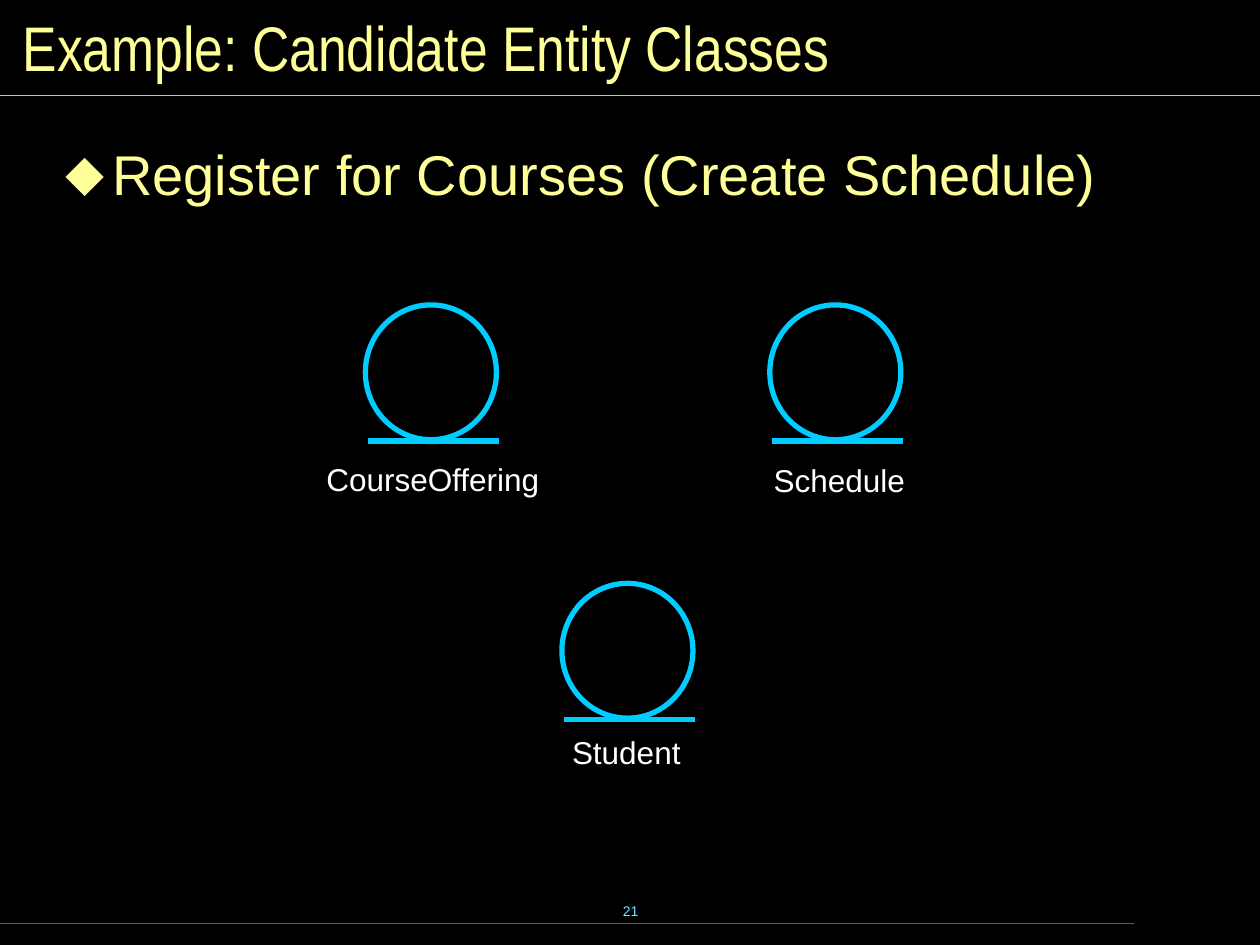
from lxml.etree import SubElement
from pptx import Presentation
from pptx.dml.color import RGBColor
from pptx.enum.shapes import MSO_CONNECTOR, MSO_SHAPE
from pptx.enum.text import MSO_ANCHOR, MSO_AUTO_SIZE, PP_ALIGN
from pptx.oxml.ns import qn
from pptx.util import Inches, Pt

YELLOW, CYAN, WHITE = "FFFF99", "00CCFF", "FFFFFF"
PALE_BLUE, DARK_BLUE = "73E1FF", "007E9F"


def write_text(shape, text, size, color, font="Arial", align=PP_ALIGN.LEFT,
               anchor=MSO_ANCHOR.TOP, margins=(0, 0), wrap=False):
    frame = shape.text_frame
    frame.auto_size = MSO_AUTO_SIZE.NONE
    frame.word_wrap = wrap
    frame.vertical_anchor = anchor
    frame.margin_left = frame.margin_right = Inches(margins[0])
    frame.margin_top = frame.margin_bottom = Inches(margins[1])
    paragraph = frame.paragraphs[0]
    paragraph.alignment = align
    paragraph.space_before = Pt(0)
    run = paragraph.add_run()
    run.text = text
    run.font.name = font
    run.font.size = Pt(size)
    run.font.color.rgb = RGBColor.from_string(color)
    return paragraph


def add_rule(shapes, left, right, top, color, width):
    """Draw a horizontal line without a shadow."""
    rule = shapes.add_connector(MSO_CONNECTOR.STRAIGHT, Inches(left), Inches(top),
                                Inches(right), Inches(top))
    rule.line.color.rgb = RGBColor.from_string(color)
    rule.line.width = Pt(width)
    SubElement(rule._element.spPr, qn("a:effectLst"))


presentation = Presentation()
presentation.slide_width, presentation.slide_height = Inches(10), Inches(7.5)
slide = presentation.slides.add_slide(presentation.slide_layouts[1])
slide.background.fill.solid()
slide.background.fill.fore_color.rgb = RGBColor.from_string("000000")

# Header and footer
add_rule(slide.shapes, 0, 9, 7.33, DARK_BLUE, 0.75)
add_rule(slide.shapes, 0, 10, 0.76, PALE_BLUE, 0.75)
page_number = slide.shapes.add_textbox(Inches(3.42), Inches(6.98), Inches(3.17), Inches(0.5))
write_text(page_number, "21", 8, PALE_BLUE, align=PP_ALIGN.CENTER,
           anchor=MSO_ANCHOR.MIDDLE, margins=(0.1, 0.05))

title = slide.shapes.title
title.left, title.top, title.width, title.height = map(Inches, (0.08, 0.08, 9.84, 0.58))
write_text(title, "Example: Candidate Entity Classes", 36, YELLOW, font="Arial Narrow",
           anchor=MSO_ANCHOR.MIDDLE, margins=(0.1, 0.05), wrap=True)

# Use case
body = slide.placeholders[1]
body.left, body.top, body.width, body.height = map(Inches, (0.4, 1.15, 9.29, 5.52))
use_case = write_text(body, "Register for Courses (Create Schedule)", 32, YELLOW,
                      margins=(0.12, 0.06), wrap=True)
use_case.line_spacing = 0.8
properties = use_case._p.get_or_add_pPr()
properties.set("marL", str(Inches(0.37)))
properties.set("indent", str(-Inches(0.37)))
bullet_color = SubElement(properties, qn("a:buClr"))
SubElement(bullet_color, qn("a:srgbClr"), val=YELLOW)
SubElement(properties, qn("a:buChar"), char="⬥")

# Entity classes: name, circle left and top, label left, top and width
entities = [
    ("Student", 4.46, 4.63, 4.54, 5.82, 0.86),
    ("Schedule", 6.11, 2.42, 6.14, 3.66, 1.04),
    ("CourseOffering", 2.9, 2.42, 2.59, 3.65, 1.7),
]
for name, left, top, label_left, label_top, label_width in entities:
    label = slide.shapes.add_textbox(Inches(label_left), Inches(label_top),
                                     Inches(label_width), Inches(0.3))
    write_text(label, name, 18, WHITE)
    symbol = slide.shapes.add_group_shape()
    circle = symbol.shapes.add_shape(MSO_SHAPE.OVAL, Inches(left), Inches(top),
                                     Inches(1.04), Inches(1.07))
    circle.shadow.inherit = False
    circle.fill.background()
    circle.line.color.rgb = RGBColor.from_string(CYAN)
    circle.line.width = Pt(3)
    add_rule(symbol.shapes, left + 0.02, left + 1.06, top + 1.08, CYAN, 3)

presentation.save("out.pptx")
